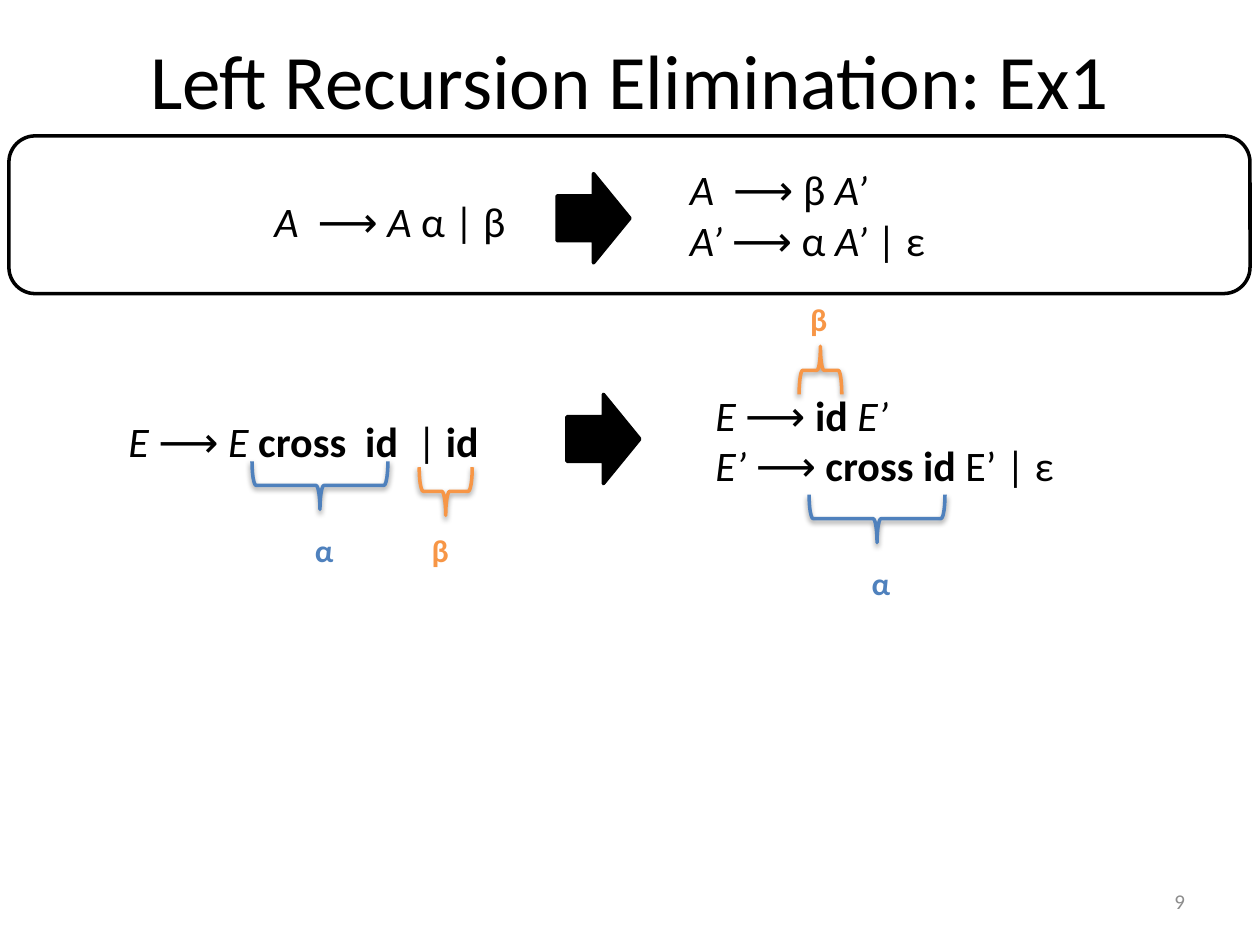
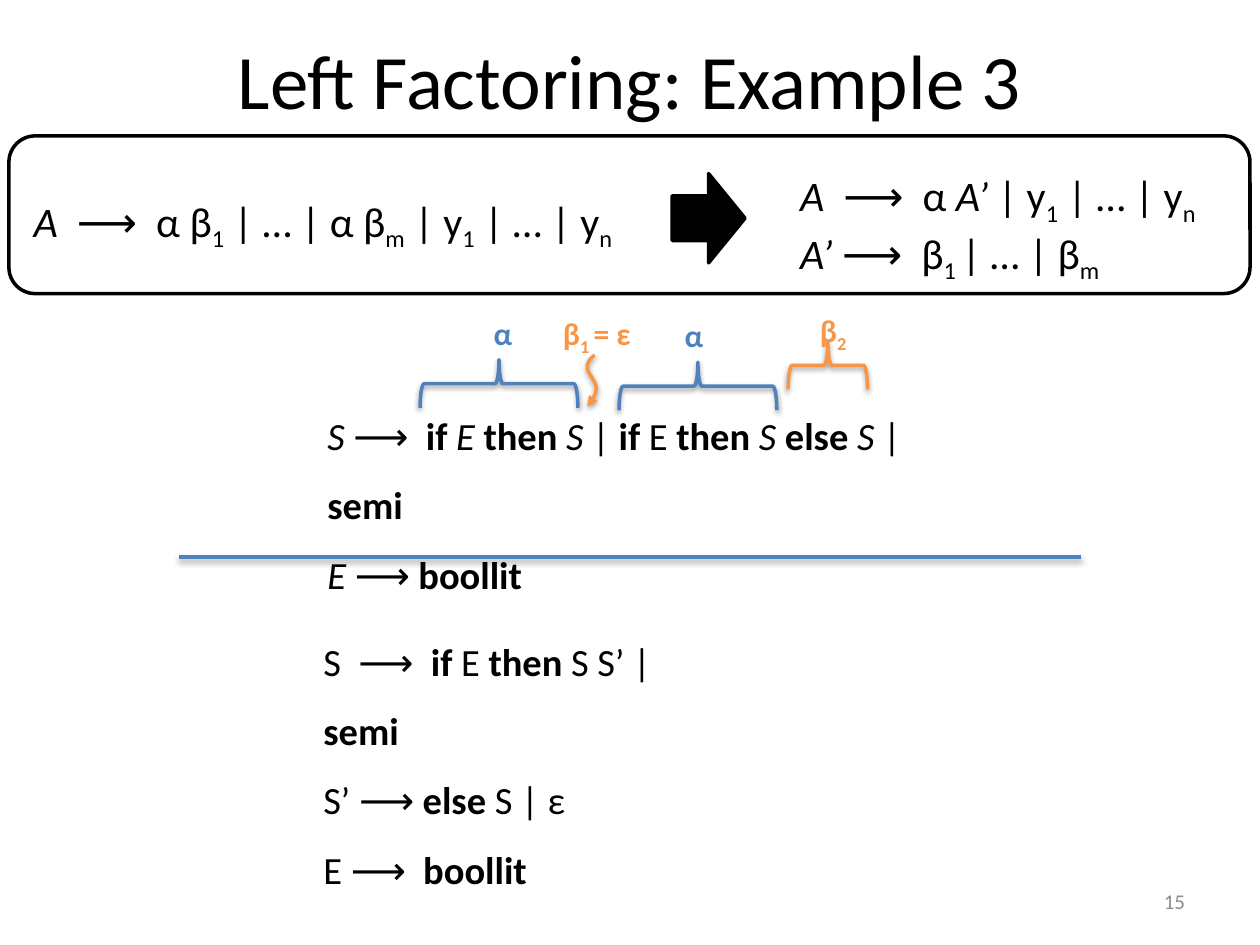
from lxml.etree import SubElement
from pptx import Presentation
from pptx.dml.color import RGBColor
from pptx.enum.shapes import MSO_CONNECTOR, MSO_SHAPE
from pptx.enum.text import MSO_ANCHOR, PP_ALIGN
from pptx.oxml.ns import qn
from pptx.util import Cm, Pt

COLORS = {"ink": "000000", "paper": "FFFFFF", "alpha": "4F81BD",
          "beta": "F79646", "number": "8C8C8C"}
FONT = "Calibri"
BAND = (0.18, 2.74, 25.02, 3.18)
BRACE_DEPTH = 0.97


def rgb(name):
    """Return the named colour."""
    return RGBColor.from_string(COLORS[name])


def styled_pieces(line):
    """Yield text with its bold (*), italic (/) and subscript (~) state."""
    for i, strong in enumerate(line.split("*")):
        for j, slanted in enumerate(strong.split("/")):
            for k, text in enumerate(slanted.split("~")):
                if text:
                    yield text, {"bold": i % 2 == 1, "italic": j % 2 == 1}, k % 2


def add_line(p, line, size, color):
    """Fill a paragraph with marked-up text."""
    for n, part in enumerate(line.split("\v")):
        if n:
            p.add_line_break()
        for text, style, low in styled_pieces(part):
            r = p.add_run()
            r.text = text
            for key, value in {"name": FONT, "size": Pt(size), **style}.items():
                setattr(r.font, key, value)
            r.font.color.rgb = rgb(color)
            if low:
                r.font._element.set("baseline", "-25000")


def add_text(s, box, lines, size=24, color="ink", align=PP_ALIGN.LEFT,
             anchor=MSO_ANCHOR.TOP, spacing=None):
    """Add a text box with one paragraph per line."""
    tf = s.shapes.add_textbox(*map(Cm, box)).text_frame
    for key, value in {"word_wrap": True, "vertical_anchor": anchor}.items():
        setattr(tf, key, value)
    for n, line in enumerate(lines):
        p = tf.add_paragraph() if n else tf.paragraphs[0]
        for key, value in {"alignment": align, "line_spacing": spacing}.items():
            setattr(p, key, value)
        add_line(p, line, size, color)


def add_shadow(sp):
    """Give a shape or connector the soft shadow of the annotations."""
    spPr = sp._element.spPr
    for old in spPr.findall(qn("a:effectLst")):
        spPr.remove(old)
    shadow = SubElement(SubElement(spPr, qn("a:effectLst")), qn("a:outerShdw"),
                        blurRad="40000", dist="20000", dir="5400000", rotWithShape="0")
    black = SubElement(shadow, qn("a:srgbClr"), val=COLORS["ink"])
    SubElement(black, qn("a:alpha"), val="38000")


def outline(sp, color):
    """Draw a two-point line in the named colour."""
    sp.line.color.rgb = rgb(color)
    sp.line.width = Pt(2)


def add_solid(s, kind, box, fill):
    """Add a filled shape with a black outline."""
    sp = s.shapes.add_shape(kind, *map(Cm, box))
    sp.shadow.inherit = False
    sp.fill.solid()
    sp.fill.fore_color.rgb = rgb(fill)
    outline(sp, "ink")


def add_frame(prs, title, number):
    """Add a slide with its rule band, title and number."""
    s = prs.slides.add_slide(prs.slide_layouts[6])
    add_solid(s, MSO_SHAPE.ROUNDED_RECTANGLE, BAND, "paper")
    add_text(s, (0.85, 0, 23.7, 3.18), [title], 44,
             align=PP_ALIGN.CENTER, anchor=MSO_ANCHOR.MIDDLE)
    add_text(s, (18.21, 17.65, 5.93, 1.02), [number], 12, "number",
             PP_ALIGN.RIGHT, MSO_ANCHOR.MIDDLE)
    return s


def add_rewrite(s, origin, before, arrow_x, after):
    """Place a grammar, an arrow and the rewritten grammar from an origin."""
    x, y = origin
    left, top, width, line = before
    add_text(s, (x + left, y + top, width, 1.27), [line])
    add_solid(s, MSO_SHAPE.RIGHT_ARROW, (x + arrow_x, y + 0.76, 1.47, 1.8), "ink")
    left, top, width, lines = after
    add_text(s, (x + left, y + top, width, 2.31), lines)


def add_brace(s, box, color, label, offset, width=0.88, up=False, align=PP_ALIGN.LEFT):
    """Place a horizontal brace and its label relative to the brace corner."""
    x, y, span = box
    shift = (span - BRACE_DEPTH) / 2
    sp = s.shapes.add_shape(MSO_SHAPE.RIGHT_BRACE, Cm(x + shift), Cm(y - shift),
                            Cm(BRACE_DEPTH), Cm(span))
    sp.rotation = 270 if up else 90
    sp.fill.background()
    outline(sp, color)
    add_shadow(sp)
    add_text(s, (x + offset[0], y + offset[1], width, 1.02), ["*" + label + "*"],
             18, color, align)


def bezier(a, b, c, d, steps=10):
    """Return points along a cubic curve, without its start."""
    return [tuple(u ** 3 * p + 3 * u * u * t * q + 3 * u * t * t * v + t ** 3 * w
                  for p, q, v, w in zip(a, b, c, d))
            for t, u in ((n / steps, 1 - n / steps) for n in range(1, steps + 1))]


def add_squiggle(s, x, y):
    """Draw the curved arrow from the empty beta to its place."""
    start, middle, end = (0.15, 0), (0.18, 0.66), (0, 1.04)
    curve = (bezier(start, (0.08, 0.05), (0, 0.13), (0, 0.25), 10)
             + bezier((0, 0.25), (0, 0.36), (0.18, 0.53), middle, 10)
             + bezier(middle, (0.18, 0.81), (0.1, 0.91), end, 4))
    points = [(Cm(x + dx), Cm(y + dy)) for dx, dy in [start] + curve]
    fb = s.shapes.build_freeform(*points[0])
    fb.add_line_segments(points[1:], close=False)
    sp = fb.convert_to_shape()
    sp.fill.background()
    outline(sp, "beta")
    SubElement(sp.line._get_or_add_ln(), qn("a:tailEnd"), type="triangle")
    add_shadow(sp)


def add_divider(s, x, y, width):
    """Draw the line between the two grammars."""
    sp = s.shapes.add_connector(MSO_CONNECTOR.STRAIGHT, Cm(x), Cm(y), Cm(x + width), Cm(y))
    outline(sp, "alpha")
    add_shadow(sp)


def recursion_slide(prs):
    """Build the left recursion example."""
    s = add_frame(prs, "Left Recursion Elimination: Ex1", "9")
    add_rewrite(s, BAND[:2], (5.1, 1.07, 5.18, "/A/  ⟶ /A /α | β"), 11.05,
                (13.48, 0.44, 6.02, ["/A/  ⟶ β /A’/", "/A’ /⟶ α /A’ /| ε "]))
    add_rewrite(s, (2.34, 7.19), (0, 1.07, 8.05, "/E/ ⟶ /E /*cross  id  *| *id*"), 9.09,
                (11.83, 0.53, 8.89, ["/E/ ⟶ *id */E’/", "/E’ /⟶ *cross id* E’ | ε "]))
    add_brace(s, (8.45, 9.42, 1.07), "beta", "β", (0, 1.17))
    add_brace(s, (5.08, 9.3, 2.74), "alpha", "α", (1.02, 1.29))
    add_brace(s, (16.31, 9.97, 2.74), "alpha", "α", (1.01, 1.28))
    add_brace(s, (16.11, 6.98, 0.86), "beta", "β", (-0.03, -1.06), up=True)


def factoring_slide(prs):
    """Build the left factoring example."""
    s = add_frame(prs, "Left Factoring: Example 3", "15")
    add_rewrite(s, BAND[:2],
                (0.25, 1.07, 12.5, "/A/  ⟶  α β~1~ | … | α β~m~ | y~1~ | … | y~n~"), 13.37,
                (15.7, 0.56, 8.89, ["/A/  ⟶  α /A’ /| y~1~ | … | y~n~",
                                    "/A’ /⟶  β~1 ~| … | β~m~"]))
    add_text(s, (6.35, 7.72, 13.74, 3.07),
             ["/S/ ⟶  *if */E /*then */S/ | *if* E *then */S /*else */S/ | \v*semi*",
              "/E/ ⟶ *boollit*"], 22, spacing=1.5)
    add_text(s, (6.27, 12.27, 8.71, 4.5),
             ["S  ⟶  *if* E *then* S S’ | \v*semi*", "S’ ⟶ *else* S | ε",
              "E ⟶  *boollit*"], 22, spacing=1.5)
    add_divider(s, 3.61, 11.23, 18.18)
    add_brace(s, (8.47, 7.25, 3.18), "alpha", "α", (1.23, -1.05), 1.3, True)
    add_brace(s, (12.48, 7.3, 3.18), "alpha", "α", (0.86, -1.05), 1.3, True,
              PP_ALIGN.CENTER)
    add_text(s, (11.1, 6.2, 2.24, 1.02), ["*β~1 ~= ε*"], 18, "beta")
    add_squiggle(s, 11.84, 7.16)
    add_brace(s, (15.89, 6.88, 1.6), "beta", "β~2~", (0.39, -0.73), 1.3, True)


def main():
    """Build and save the slides."""
    prs = Presentation()
    prs.slide_width, prs.slide_height = Cm(25.4), Cm(19.05)
    recursion_slide(prs)
    factoring_slide(prs)
    prs.save("out.pptx")


main()
